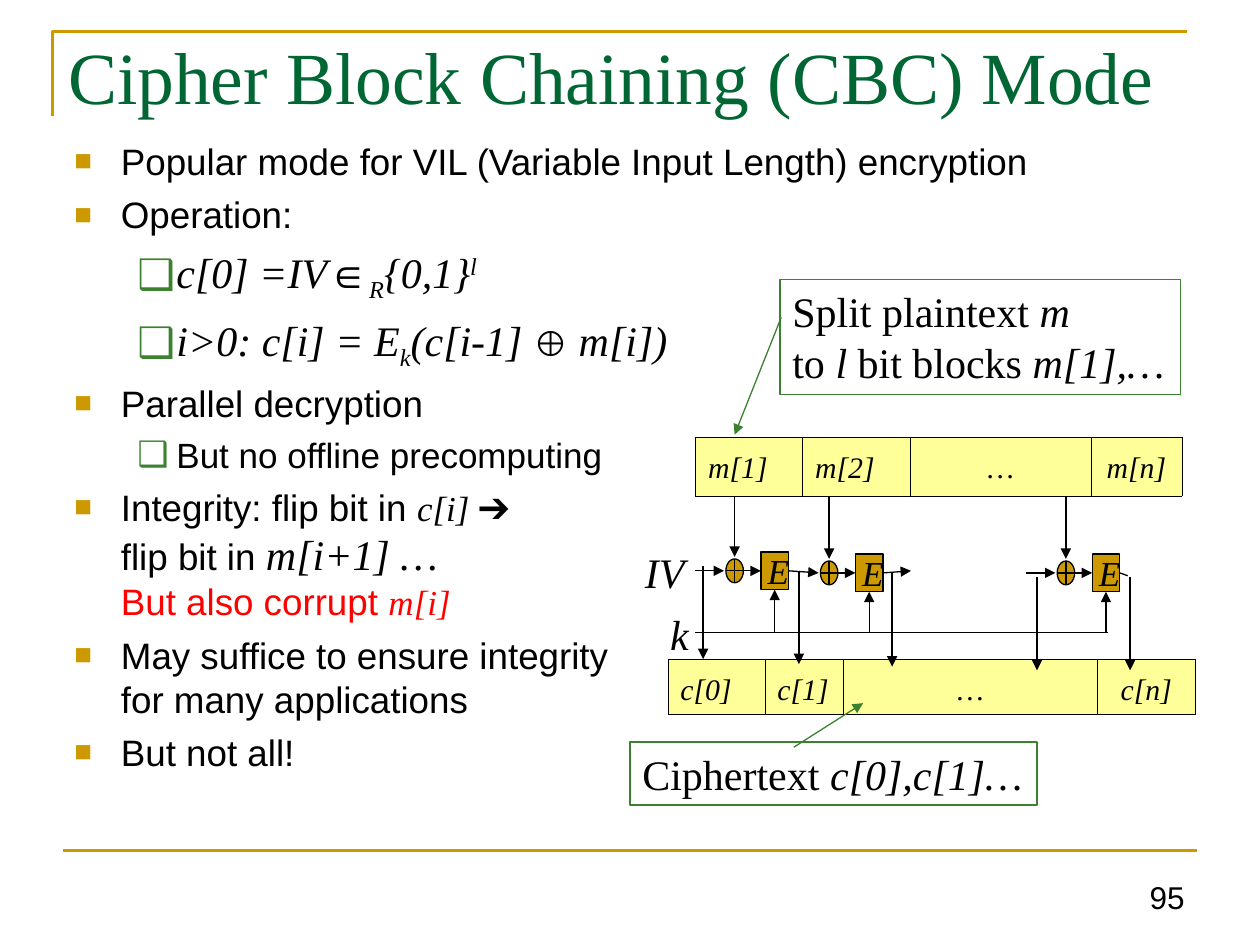
from lxml.etree import SubElement
from pptx import Presentation
from pptx.dml.color import RGBColor
from pptx.enum.shapes import MSO_CONNECTOR, MSO_SHAPE
from pptx.enum.text import MSO_ANCHOR, MSO_AUTO_SIZE, PP_ALIGN
from pptx.oxml.ns import qn
from pptx.util import Pt

COLORS = {"gold": "CC9900", "title": "006633", "green": "3B812F",
          "yellow": "FFFF99", "black": "000000", "red": "FF0000"}
SANS, SERIF = "Arial", "Times New Roman"

# A run is (text, style); styles hold size, font, italic, baseline, color.
BODY = {"size": 21, "font": SANS}
WARNING = {**BODY, "color": "red"}
SUB_BODY = {"size": 20, "font": SANS}
MATH = {"size": 24, "font": SERIF, "italic": True}
SMALL_MATH = {**MATH, "size": 20}
SUBSCRIPT = {**MATH, "baseline": -25000}
SUPERSCRIPT = {**MATH, "baseline": 30000}
CALLOUT = {"size": 24, "font": SERIF}
CELL = {"size": 17, "font": SERIF, "italic": True}

TITLE = [("Cipher Block Chaining (CBC) Mode", {"size": 42, "font": SERIF, "color": "title"})]
BULLETS = [  # level, space before, runs
    (0, 0, [("Popular mode for VIL (Variable Input Length) encryption", BODY)]),
    (0, 5.2, [("Operation:", BODY)]),
    (1, 6, [("c[0] =IV", MATH), ("∈", {**MATH, "font": SANS}), ("R", SUBSCRIPT),
            ("{0,1}", MATH), ("l", SUPERSCRIPT)]),
    (1, 6, [("i>0: c[i] = E", MATH), ("k", SUBSCRIPT), ("(c[i-1] ", MATH),
            ("⊕", {**SUB_BODY, "italic": True}), (" m[i])", MATH)]),
    (0, 5.2, [("Parallel decryption", BODY)]),
    (1, 5, [("But no offline precomputing", SUB_BODY)]),
    (0, 5.2, [("Integrity: flip bit in ", BODY), ("c[i] ", SMALL_MATH),
              ("➔\n", {"size": 20, "font": SERIF}), ("flip bit in ", BODY),
              ("m[i+1] …\n", MATH), ("But also corrupt ", WARNING),
              ("m[i]", {**SMALL_MATH, "color": "red"})]),
    (0, 5.2, [("May suffice to ensure integrity\nfor many applications", BODY)]),
    (0, 5.2, [("But not all!", BODY)]),
]
LEVELS = [  # left margin, hanging indent, bullet, color, size percent
    (26.6, 26.6, "■", "gold", 80),
    (58.3, 22.3, "❑", "green", 100),
]
BLOCK_TABLES = [  # left, top, height, column widths, cell texts
    (397.4, 249.8, 33.8, [61.2, 61.2, 103.7, 51.8], ["m[1]", "m[2]", "…", "m[n]"]),
    (381.6, 376.6, 31.7, [55.4, 44.6, 145.4, 56.2], ["c[0]", "c[1]", "…", "c[n]"]),
]
CALLOUTS = [  # box, runs, arrow start, arrow end
    ((445.7, 159.8, 229, 65.5),
     [("Split plaintext ", CALLOUT), ("m\n", MATH), ("to ", CALLOUT), ("l", MATH),
      (" bit blocks ", CALLOUT), ("m[1],…", MATH)], (446.4, 181.4), (419.8, 248.4)),
    ((360, 424.1, 232.6, 36),
     [("Ciphertext ", CALLOUT), ("c[0],c[1]…", MATH)], (453.6, 427), (493.2, 401.8)),
]
LABELS = [("IV", (361.4, 308.9, 36.7, 36)), ("k", (375.8, 344.2, 25.2, 36))]
STAGES = [(419.8, 326.2), (473.8, 327.4), (609.1, 327.4)]  # XOR centers
FEEDBACK = [(401.8, 323.3), (456.5, 326.2), (509.8, 327.6), (592.6, 329.8), (645.8, 329.8)]
FEEDBACK_LENGTH = 53.3
KEY_Y = 361.4
MESSAGE_BOTTOM = 283.7


def points(*values):
    return [Pt(value) for value in values]


def color(name):
    return RGBColor.from_string(COLORS[name])


def add_runs(paragraph, runs):
    """Add styled runs, turning each newline into a line break."""
    for text, style in runs:
        for index, piece in enumerate(text.split("\n")):
            if index:
                paragraph.add_line_break()
            if not piece:
                continue
            run = paragraph.add_run()
            run.text = piece
            run.font.size = Pt(style["size"])
            run.font.name = style["font"]
            run.font.italic = style.get("italic", False)
            run.font.color.rgb = color(style.get("color", "black"))
            if "baseline" in style:
                run._r.get_or_add_rPr().set("baseline", str(style["baseline"]))


def place(shape, box):
    shape.left, shape.top, shape.width, shape.height = points(*box)


def set_bullet(paragraph, level):
    margin, hanging, symbol, color_name, percent = LEVELS[level]
    paragraph.level = level
    properties = paragraph._p.get_or_add_pPr()
    properties.set("marL", str(Pt(margin)))
    properties.set("indent", str(-Pt(hanging)))
    bullet_color = SubElement(properties, qn("a:buClr"))
    SubElement(bullet_color, qn("a:srgbClr"), val=COLORS[color_name])
    SubElement(properties, qn("a:buSzPct"), val=str(percent * 1000))
    SubElement(properties, qn("a:buFont"), typeface=SANS)
    SubElement(properties, qn("a:buChar"), char=symbol)


def add_line(slide, start, end, color_name="black", width=0.75, arrow=True):
    connector = slide.shapes.add_connector(MSO_CONNECTOR.STRAIGHT, *points(*start, *end))
    connector.line.color.rgb = color(color_name)
    connector.line.width = Pt(width)
    if arrow:
        SubElement(connector.line._get_or_add_ln(), qn("a:tailEnd"), type="triangle")
    SubElement(connector._element.spPr, qn("a:effectLst"))
    return connector


def add_shape(slide, kind, box, line_color="black", fill=None):
    shape = slide.shapes.add_shape(kind, *points(*box))
    shape.shadow.inherit = False
    if fill:
        shape.fill.solid()
        shape.fill.fore_color.rgb = color(fill)
    else:
        shape.fill.background()
    shape.line.color.rgb = color(line_color)
    shape.line.width = Pt(0.75)
    return shape


def set_text(shape, runs, alignment=PP_ALIGN.LEFT, anchor=MSO_ANCHOR.TOP, wrap=False):
    frame = shape.text_frame
    frame.word_wrap = wrap
    frame.auto_size = MSO_AUTO_SIZE.NONE
    frame.vertical_anchor = anchor
    frame.paragraphs[0].alignment = alignment
    add_runs(frame.paragraphs[0], runs)


def add_block_table(slide, left, top, height, widths, texts):
    table = slide.shapes.add_table(
        1, len(widths), *points(left, top, sum(widths), height)).table
    table.first_row = table.horz_banding = False
    table.rows[0].height = Pt(height)
    for index, (width, text) in enumerate(zip(widths, texts)):
        table.columns[index].width = Pt(width)
        cell = table.cell(0, index)
        cell.margin_top = Pt(11.5)
        paragraph = cell.text_frame.paragraphs[0]
        paragraph.alignment = PP_ALIGN.LEFT if index < 2 else PP_ALIGN.CENTER
        paragraph.line_spacing = 0.82
        add_runs(paragraph, [(text, {**CELL, "italic": text != "…"})])
        properties = cell._tc.get_or_add_tcPr()
        for side in ("a:lnL", "a:lnR", "a:lnT", "a:lnB"):
            border = SubElement(properties, qn(side), w=str(Pt(0.11)))
            SubElement(SubElement(border, qn("a:solidFill")), qn("a:srgbClr"),
                       val=COLORS["black"])
        cell.fill.solid()
        cell.fill.fore_color.rgb = color("yellow")


def add_stage(slide, x, y):
    """Draw one XOR and encryption step; return the encryption box."""
    box = add_shape(slide, MSO_SHAPE.RECTANGLE, (x + 15, y - 10.8, 15.8, 21.6), fill="gold")
    box.text_frame.margin_left = Pt(4)
    box.text_frame.margin_right = Pt(0)
    set_text(box, [("E", SMALL_MATH)], PP_ALIGN.CENTER, MSO_ANCHOR.MIDDLE)
    add_line(slide, (x, y), (x + 15, y)).end_connect(box, 1)
    add_shape(slide, MSO_SHAPE.FLOWCHART_OR, (x - 5, y - 6.8, 10, 13.6), fill="gold")
    add_line(slide, (x, MESSAGE_BOTTOM), (x, y - 8))
    add_line(slide, (x + 22.9, KEY_Y), (x + 22.9, y + 10.8)).end_connect(box, 2)
    return box


def main():
    presentation = Presentation()
    presentation.slide_width, presentation.slide_height = points(720, 540)
    slide = presentation.slides.add_slide(presentation.slide_layouts[1])

    outline = slide.shapes.build_freeform(*points(30.2, 66.2))
    outline.add_line_segments([points(30.2, 18), points(678.2, 18)], close=False)
    frame_line = outline.convert_to_shape()
    frame_line.shadow.inherit = False
    frame_line.fill.background()
    frame_line.line.color.rgb = color("gold")
    frame_line.line.width = Pt(1.5)
    add_line(slide, (36, 486), (684, 486), "gold", 1.5, arrow=False)

    number = slide.shapes.add_textbox(*points(516.2, 491.8, 167.8, 35.3))
    set_text(number, [("95", {"size": 18, "font": SANS})], PP_ALIGN.RIGHT,
             MSO_ANCHOR.BOTTOM, wrap=True)

    place(slide.shapes.title, (31.7, 12.2, 662.4, 59.8))
    set_text(slide.shapes.title, TITLE, anchor=MSO_ANCHOR.BOTTOM, wrap=True)

    body = slide.placeholders[1]
    place(body, (35.3, 75.6, 565.9, 272.2))
    body.text_frame.auto_size = MSO_AUTO_SIZE.NONE
    for index, (level, space, runs) in enumerate(BULLETS):
        paragraph = body.text_frame.add_paragraph() if index else body.text_frame.paragraphs[0]
        set_bullet(paragraph, level)
        paragraph.space_before = Pt(space)
        add_runs(paragraph, runs)

    for block_table in BLOCK_TABLES:
        add_block_table(slide, *block_table)
    for text, box in LABELS:
        set_text(slide.shapes.add_textbox(*points(*box)), [(text, MATH)])

    first, second, last = [add_stage(slide, x, y) for x, y in STAGES]
    add_line(slide, (397.4, KEY_Y), (632.9, KEY_Y), arrow=False)
    for x, y in STAGES:
        arrow = add_line(slide, (x - 22.7, y), (x - 6, y))
        if (x, y) == STAGES[1]:
            arrow.begin_connect(first, 3)
    add_line(slide, (504, 326.2), (520.6, 326.2)).begin_connect(second, 3)
    add_line(slide, (639, 326.2), (644.4, 329), arrow=False).begin_connect(last, 3)
    for x, y in FEEDBACK:
        add_line(slide, (x, y), (x, y + FEEDBACK_LENGTH))

    for box, runs, start, end in CALLOUTS:
        set_text(add_shape(slide, MSO_SHAPE.RECTANGLE, box, "green"), runs)
        add_line(slide, start, end, "green")

    presentation.save("out.pptx")


if __name__ == "__main__":
    main()
